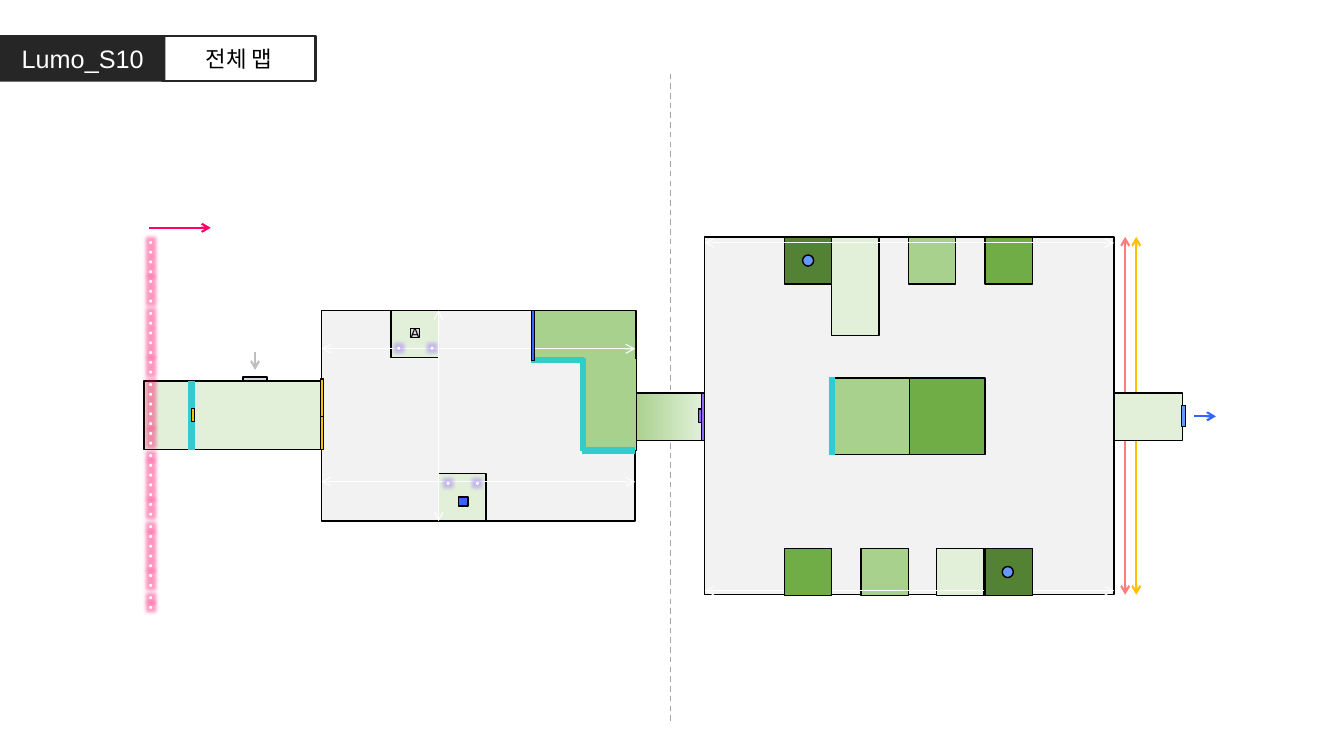
import pptx
import pptx.util
import pptx.dml.color
import pptx.enum.shapes
import pptx.enum.text
import pptx.enum.dml
import pptx.oxml
import pptx.oxml.ns
from collections import namedtuple
from lxml import etree

Inches = pptx.util.Inches
RGBColor = pptx.dml.color.RGBColor
Box = namedtuple("Box", "left top width height")
RECTANGLE = pptx.enum.shapes.MSO_SHAPE.RECTANGLE
OVAL = pptx.enum.shapes.MSO_SHAPE.OVAL

BLACK = RGBColor(0x00, 0x00, 0x00)
WHITE = RGBColor(0xFF, 0xFF, 0xFF)
CHARCOAL = RGBColor(0x26, 0x26, 0x26)
DASH_GRAY = RGBColor(0xA6, 0xA6, 0xA6)
ARROW_GRAY = RGBColor(0xBF, 0xBF, 0xBF)
DOOR_GRAY = RGBColor(0xD9, 0xD9, 0xD9)
FLOOR = RGBColor(0xF2, 0xF2, 0xF2)
PALE = RGBColor(0xE2, 0xF0, 0xD9)
LIGHT = RGBColor(0xA9, 0xD1, 0x8E)
GREEN = RGBColor(0x70, 0xAD, 0x47)
DARK = RGBColor(0x54, 0x82, 0x35)
CYAN = RGBColor(0x33, 0xCC, 0xCC)
PURPLE = RGBColor(0x99, 0x66, 0xFF)
BLUE = RGBColor(0x33, 0x66, 0xFF)
SKY = RGBColor(0x66, 0x99, 0xFF)
AMBER = RGBColor(0xFF, 0xC0, 0x00)
CORAL = RGBColor(0xFF, 0x7C, 0x80)
PINK = RGBColor(0xFF, 0x00, 0x66)

ALCOVE = 0.47
DOT = 0.03


def add_block(slide, box, x, y, width, height, fill, line=BLACK, weight=1, kind=RECTANGLE):
    shape = slide.shapes.add_shape(
        kind, Inches(box.left + x), Inches(box.top + y), Inches(width), Inches(height))
    shape.shadow.inherit = False
    if fill is None:
        shape.fill.background()
    else:
        shape.fill.solid()
        shape.fill.fore_color.rgb = fill
    if line is None:
        shape.line.fill.background()
    else:
        shape.line.color.rgb = line
        shape.line.width = pptx.util.Pt(weight)
    return shape


def add_line(slide, box, start, end, color, weight, arrows=()):
    connector = slide.shapes.add_connector(
        pptx.enum.shapes.MSO_CONNECTOR.STRAIGHT,
        Inches(box.left + start[0]), Inches(box.top + start[1]),
        Inches(box.left + end[0]), Inches(box.top + end[1]))
    connector.line.color.rgb = color
    connector.line.width = pptx.util.Pt(weight)
    properties = connector._element.spPr
    outline = properties.find(pptx.oxml.ns.qn("a:ln"))
    for arrow in arrows:
        etree.SubElement(outline, pptx.oxml.ns.qn(f"a:{arrow}")).set("type", "arrow")
    etree.SubElement(properties, pptx.oxml.ns.qn("a:effectLst"))
    return connector


BOTH = ("headEnd", "tailEnd")
FORWARD = ("tailEnd",)


def add_text(shape, text, size, color, **frame_format):
    frame = shape.text_frame
    settings = {"vertical_anchor": pptx.enum.text.MSO_ANCHOR.MIDDLE, "word_wrap": True}
    for name, value in {**settings, **frame_format}.items():
        setattr(frame, name, value)
    paragraph = frame.paragraphs[0]
    paragraph.alignment = pptx.enum.text.PP_ALIGN.CENTER
    run = paragraph.add_run()
    run.text = text
    for name, value in {"name": "Arial", "size": pptx.util.Pt(size)}.items():
        setattr(run.font, name, value)
    run.font.color.rgb = color


def add_glowing_dot(slide, box, x, y, color):
    dot = add_block(slide, box, x, y, DOT, DOT, WHITE, None, kind=OVAL)
    effects = dot._element.spPr.find(pptx.oxml.ns.qn("a:effectLst"))
    effects.append(pptx.oxml.parse_xml(
        f'<a:glow {pptx.oxml.ns.nsdecls("a")} rad="63500"><a:srgbClr val="{color}">'
        '<a:alpha val="40000"/></a:srgbClr></a:glow>'))


def draw_header(slide, box):
    name = add_block(slide, box, 0, 0, 1.64, box.height, CHARCOAL, None)
    add_text(name, "Lumo_S10", 18, WHITE)
    title = add_block(slide, box, 1.61, 0.01, 1.52, 0.44, None, CHARCOAL, 1.5)
    add_text(title, "전체 맵", 16, BLACK)


def draw_divider(slide, box):
    line = add_line(slide, box, (0, 0), (0, box.height), DASH_GRAY, 1)
    line.line.dash_style = pptx.enum.dml.MSO_LINE.DASH


def draw_passage(slide, box):
    passage = add_block(slide, box, 0, 0, 0.67, box.height, LIGHT)
    passage.fill.gradient()
    passage.fill.gradient_angle = 0
    for stop, color, position in zip(passage.fill.gradient_stops, (LIGHT, PALE), (0, 1)):
        stop.color.rgb = color
        stop.position = position
    add_block(slide, box, 0.63, 0.16, 0.03, 0.13, PURPLE)
    add_block(slide, box, 0.66, 0, 0.03, box.height, PURPLE)


def draw_right_hall(slide, box):
    add_block(slide, box, 0, 0, box.width, box.height, FLOOR)
    bottom = box.height - ALCOVE + 0.01
    for x, y, height, color in (
            (0.79, 0, ALCOVE, DARK), (1.26, 0, 0.98, PALE),
            (2.02, 0, ALCOVE, LIGHT), (2.78, 0, ALCOVE, GREEN),
            (1.55, bottom, ALCOVE, LIGHT), (2.3, bottom, ALCOVE, PALE)):
        add_block(slide, box, x, y, ALCOVE, height, color)
    add_block(slide, box, 1.26, 1.4, 0.77, 0.76, LIGHT)
    add_block(slide, box, 2.03, 1.4, 0.75, 0.76, GREEN)
    for y in (0.06, box.height - 0.04):
        add_line(slide, box, (0, y), (box.width, y), WHITE, 0.75, BOTH)
    for x, color in ((0.79, GREEN), (2.78, DARK)):
        add_block(slide, box, x, bottom, ALCOVE, ALCOVE, color)
    for x, y in ((0.97, 0.18), (2.95, 3.27)):
        add_block(slide, box, x, y, 0.11, 0.11, SKY, kind=OVAL)
    add_line(slide, box, (1.26, 1.39), (1.26, 2.16), CYAN, 4.5)
    for gap, color in ((0.22, AMBER), (0.11, CORAL)):
        x = box.width + gap
        add_line(slide, box, (x, box.height), (x, 0), color, 1.5, BOTH)


def draw_exit(slide, box):
    add_block(slide, box, 0, 0, box.width, box.height, PALE)
    add_line(slide, box, (0.79, 0.23), (1.01, 0.23), BLUE, 1.5, FORWARD)
    add_block(slide, box, 0.67, 0.12, 0.04, 0.21, SKY)


def draw_left_hall(slide, box):
    add_block(slide, box, 0, 0, box.width, box.height, FLOOR)
    add_block(slide, box, 0.69, 0, ALCOVE, ALCOVE, PALE)
    add_block(slide, box, 1.16, box.height - ALCOVE, ALCOVE, ALCOVE, PALE)
    add_block(slide, box, 2.08, 0, 1.04, ALCOVE, LIGHT)
    add_block(slide, box, 2.6, 0.47, 0.52, 0.92, LIGHT)
    add_block(slide, box, 2.6, 0.27, 0.51, 0.92, LIGHT, None)
    for y in (0.38, 1.7):
        add_line(slide, box, (0, y), (box.width, y), WHITE, 0.75, BOTH)
    for x, y in ((0.75, 0.36), (1.08, 0.36), (1.24, 1.7), (1.53, 1.7)):
        add_glowing_dot(slide, box, x, y, PURPLE)
    add_line(slide, box, (1.16, 0), (1.16, box.height), WHITE, 0.75, BOTH)
    for start, end in (((2.08, 0.49), (2.6, 0.49)), ((2.59, 0.47), (2.59, 1.39)),
                       ((2.58, 1.39), (3.11, 1.39))):
        add_line(slide, box, start, end, CYAN, 4.5)
    add_block(slide, box, 1.36, 1.85, 0.09, 0.09, BLUE)
    add_block(slide, box, 2.08, 0, 0.03, 0.5, BLUE)
    marker = add_block(slide, box, 0.88, 0.18, 0.09, 0.09, DOOR_GRAY)
    margins = dict.fromkeys(("margin_left", "margin_right", "margin_top", "margin_bottom"), 0)
    add_text(marker, "A", 10, BLACK, **{**margins, "word_wrap": False})


def draw_entrance(slide, box):
    add_block(slide, box, 0, 0, box.width, box.height, PALE)
    add_block(slide, box, 0.98, -0.04, 0.24, 0.04, DOOR_GRAY)
    add_line(slide, box, (0.47, 0), (0.47, box.height), CYAN, 4.5)
    add_block(slide, box, 0.47, 0.27, 0.03, 0.13, AMBER)
    add_line(slide, box, (1.1, -0.29), (1.1, -0.11), ARROW_GRAY, 1.5, FORWARD)
    for y in (0.31, -0.02):
        add_block(slide, box, box.width, y, 0.03, 0.37, AMBER)


def draw_light_wall(slide, box):
    add_line(slide, box, (0, -0.13), (0.61, -0.13), PINK, 1.5, FORWARD)
    for index in range(37):
        group, step = divmod(index, 7)
        add_glowing_dot(slide, box, 0, group * 0.705 + step * 0.097, PINK)


presentation = pptx.Presentation()
presentation.slide_width = Inches(13.33)
presentation.slide_height = Inches(7.5)
slide = presentation.slides.add_slide(presentation.slide_layouts[6])
for draw, box in (
        (draw_header, Box(0, 0.35, 3.13, 0.46)),
        (draw_divider, Box(6.65, 0.73, 0, 6.42)),
        (draw_passage, Box(6.3, 3.9, 0.69, 0.47)),
        (draw_right_hall, Box(6.99, 2.35, 4.06, 3.55)),
        (draw_exit, Box(11.05, 3.9, 0.68, 0.47)),
        (draw_left_hall, Box(3.19, 3.08, 3.11, 2.09)),
        (draw_entrance, Box(1.43, 3.78, 1.75, 0.68)),
        (draw_light_wall, Box(1.48, 2.39, 0.03, 3.65))):
    draw(slide, box)
presentation.save("out.pptx")
